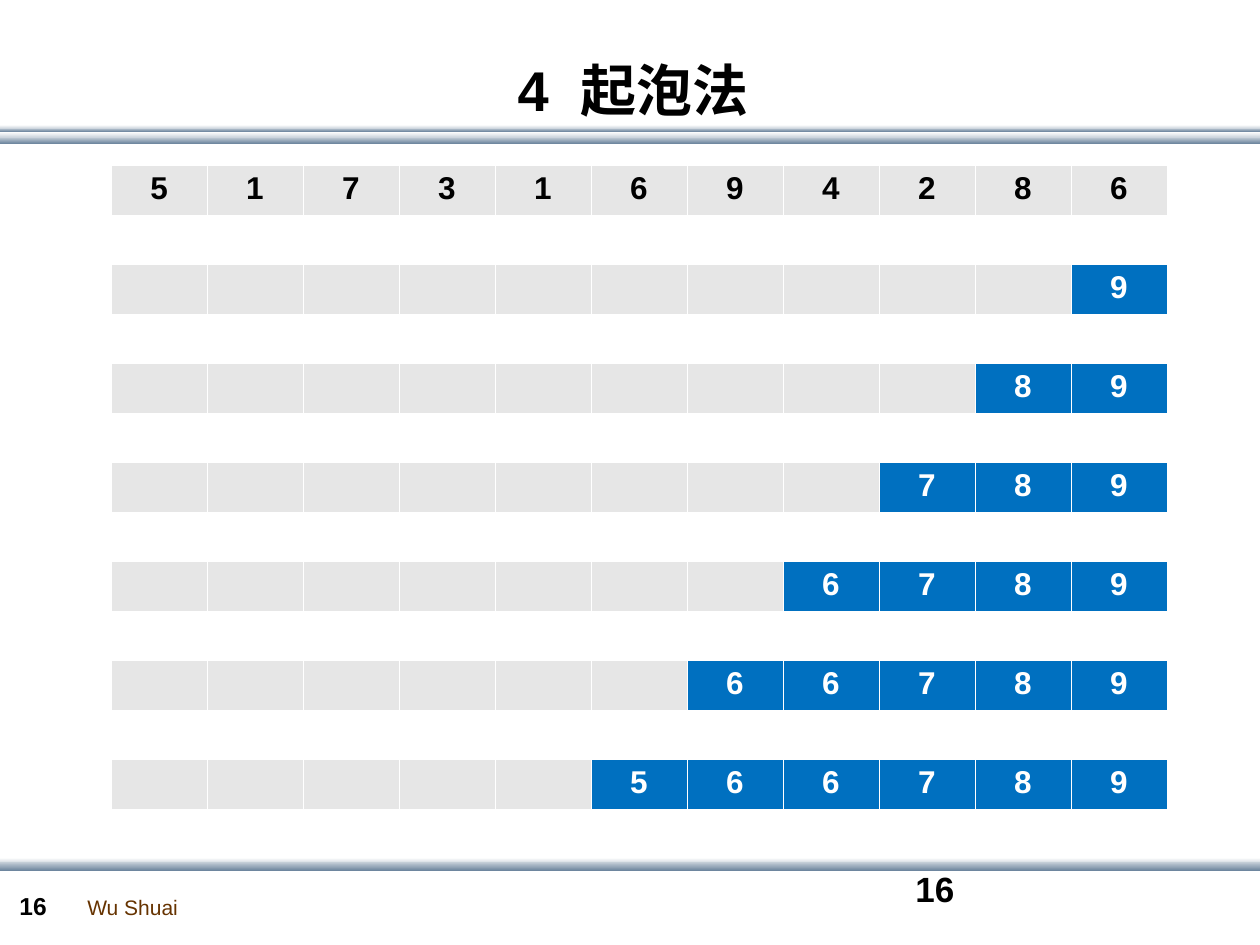
from lxml import etree
from pptx import Presentation
from pptx.dml.color import RGBColor
from pptx.enum.shapes import MSO_SHAPE
from pptx.enum.text import MSO_ANCHOR, PP_ALIGN
from pptx.oxml.ns import qn
from pptx.util import Emu, Pt

RECT = MSO_SHAPE.RECTANGLE
MIDDLE = MSO_ANCHOR.MIDDLE
LEFT, CENTER = PP_ALIGN.LEFT, PP_ALIGN.CENTER

C = {
    "white": "FFFFFF", "pale": "C8D1DA", "steel": "6A839C", "black": "000000",
    "brown": "663300", "cell": "E6E6E6", "sorted": "0070C0",
}
TITLE = "4  起泡法"
NUMBERS = [5, 1, 7, 3, 1, 6, 9, 4, 2, 8, 6]
PASSES = 6
BANDS = [
    (137, 7, "pale", "steel"),
    (128, 4, "pale", "steel"),
    (132, 6, "white", "pale"),
    (125, 4, "white", "pale"),
    (858, 6, "white", "pale"),
    (862, 9, "pale", "steel"),
]
LABELS = [
    ("Wu Shuai", (75, 888, 116, 38), 12, "brown", False, False),
    ("16", (7, 885, 69, 43), 14, "black", True, True),
    ("16", (903, 861, 294, 63), 20, "black", True, True),
]
BORDERS = [("a:lnL", 0.45), ("a:lnR", 0.45), ("a:lnT", 0.45), ("a:lnB", 1.47)]
GRID_LEFT, GRID_TOP, COL_W, ROW_H, PITCH = 111, 165, 96, 51, 99


def px(n):
    return Emu(round(n * 914400 / 126))


def rgb(name):
    return RGBColor.from_string(C[name])


def style(p, size, color, bold, align=LEFT):
    p.alignment = align
    p.font.name = "Arial"
    p.font.size = Pt(size)
    p.font.bold = bold
    p.font.color.rgb = rgb(color)


def add_band(s, top, height, start, end):
    sp = s.shapes.add_shape(RECT, 0, px(top), px(1261), px(height))
    sp.shadow.inherit = False
    sp.line.fill.background()
    sp.fill.gradient()
    sp.fill.gradient_angle = 270
    for stop, color, position in zip(sp.fill.gradient_stops, (start, end), (0, 1)):
        stop.color.rgb = rgb(color)
        stop.position = position


def add_label(s, text, box, size, color, bold, wrap):
    tf = s.shapes.add_textbox(*map(px, box)).text_frame
    tf.word_wrap = wrap
    tf.text = text
    style(tf.paragraphs[0], size, color, bold)


def set_borders(cell):
    tcPr = cell._tc.get_or_add_tcPr()
    for i, (tag, width) in enumerate(BORDERS):
        ln = etree.Element(qn(tag), w=str(Pt(width)))
        fill = etree.SubElement(ln, qn("a:solidFill"))
        etree.SubElement(fill, qn("a:srgbClr"), val=C["white"])
        tcPr.insert(i, ln)


def add_row(s, top, values, first_sorted):
    n = len(values)
    frame = s.shapes.add_table(1, n, px(GRID_LEFT), px(top), px(COL_W * n), px(ROW_H))
    table = frame.table
    table.first_row = table.horz_banding = False
    for i, value in enumerate(values):
        done = i >= first_sorted
        table.columns[i].width = px(COL_W)
        cell = table.cell(0, i)
        cell.text = str(value)
        style(cell.text_frame.paragraphs[0], 18, "white" if done else "black", True, CENTER)
        cell.fill.solid()
        cell.fill.fore_color.rgb = rgb("sorted" if done else "cell")
        set_borders(cell)


def main():
    prs = Presentation()
    prs.slide_width, prs.slide_height = px(1260), px(945)
    s = prs.slides.add_slide(prs.slide_layouts[5])

    for band in BANDS:
        add_band(s, *band)
    for label in LABELS:
        add_label(s, *label)

    title = s.shapes.title
    title.left, title.top, title.width, title.height = map(px, (28, 55, 1210, 69))
    tf = title.text_frame
    tf.text = TITLE
    tf.vertical_anchor = MIDDLE
    style(tf.paragraphs[0], 32, "black", True, CENTER)

    n = len(NUMBERS)
    ranked = sorted(NUMBERS)
    add_row(s, GRID_TOP, NUMBERS, n)
    for k in range(1, PASSES + 1):
        add_row(s, GRID_TOP + k * PITCH, [""] * (n - k) + ranked[n - k:], n - k)

    prs.save("out.pptx")


if __name__ == "__main__":
    main()
